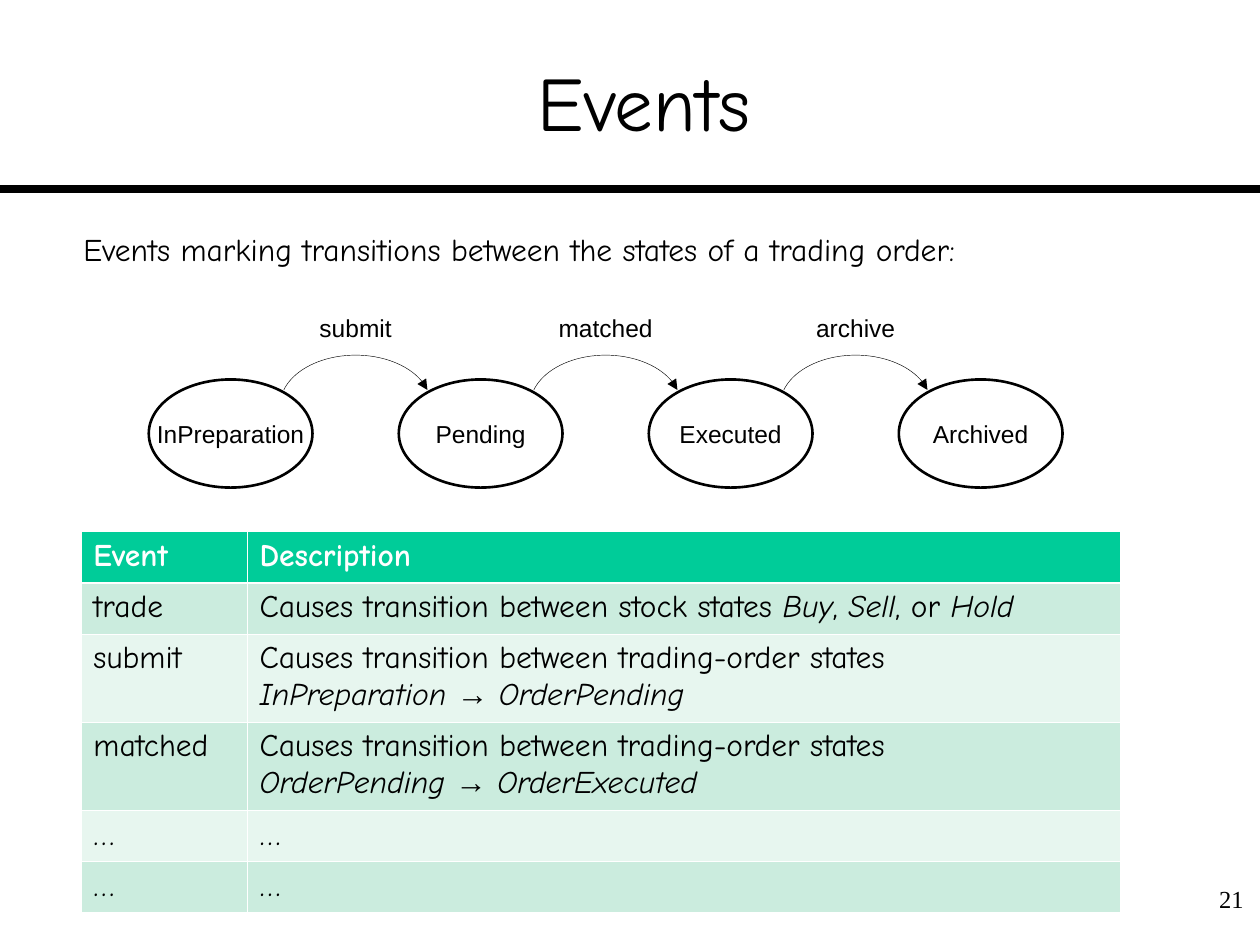
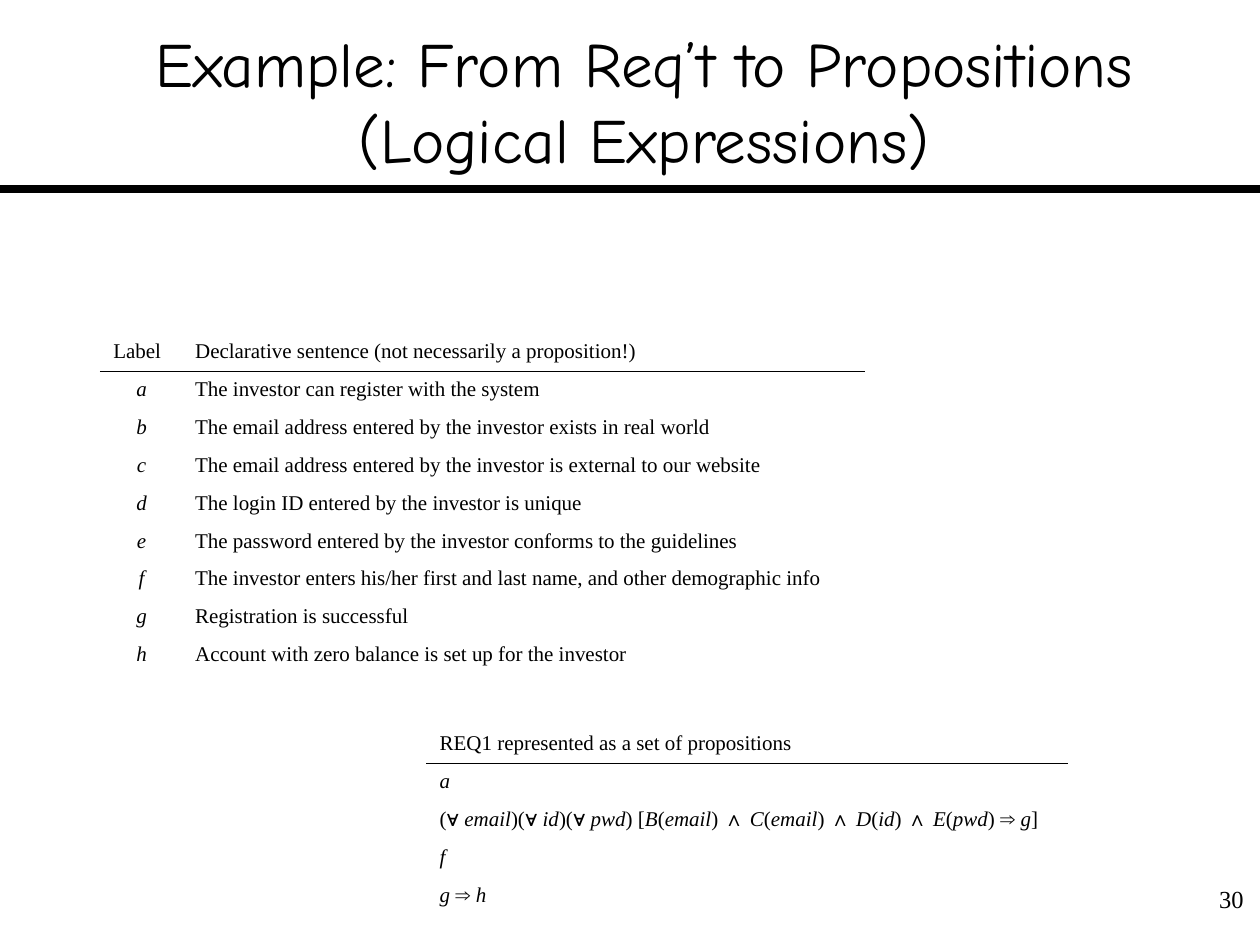
import itertools

import pptx
import pptx.dml.color
import pptx.enum.shapes
import pptx.enum.text
import pptx.oxml
import pptx.oxml.ns
import pptx.util

Cm = pptx.util.Cm
Pt = pptx.util.Pt
RGB = pptx.dml.color.RGBColor
Align = pptx.enum.text.PP_ALIGN
Anchor = pptx.enum.text.MSO_ANCHOR
Shape = pptx.enum.shapes.MSO_SHAPE
qn = pptx.oxml.ns.qn

BLACK = RGB(0x00, 0x00, 0x00)
WHITE = RGB(0xFF, 0xFF, 0xFF)
GREEN = RGB(0x00, 0xCC, 0x99)
MINT = RGB(0xCB, 0xEC, 0xDE)
PALE = RGB(0xE7, 0xF6, 0xEF)

COMIC, ARIAL, TIMES = "Comic Neue", "Arial", "Times New Roman"
SIGNS = "→∀∧⇒"
THIN, THICK = 0.45, 1.47

STATES = ["InPreparation", "Pending", "Executed", "Archived"]
STEPS = ["submit", "matched", "archive"]
EVENTS = [
    ["Event", "Description"],
    ["trade", "Causes transition between stock states *Buy*, *Sell*, or *Hold*"],
    ["submit", "Causes transition between trading-order states\n"
               "*InPreparation *→ *OrderPending*"],
    ["matched", "Causes transition between trading-order states\n"
                "*OrderPending *→ *OrderExecuted*"],
    ["…", "…"],
    ["…", "…"],
]
CLAIMS = [
    ["Label", "Declarative sentence (not necessarily a proposition!)"],
    ["*a*", "The investor can register with the system"],
    ["*b*", "The email address entered by the investor exists in real world"],
    ["*c*", "The email address entered by the investor is external to our website"],
    ["*d*", "The login ID entered by the investor is unique"],
    ["*e*", "The password entered by the investor conforms to the guidelines"],
    ["*f*", "The investor enters his/her first and last name, and other demographic info"],
    ["*g*", "Registration is successful"],
    ["*h*", "Account with zero balance is set up for the investor"],
]
LOGIC = [
    ["REQ1 represented as a set of propositions"],
    ["*a*"],
    ["(∀ *email*)(∀ *id*)(∀ *pwd*) [*B*(*email*) ∧ *C*(*email*) ∧ "
     "*D*(*id*) ∧ *E*(*pwd*) ⇒ *g*]"],
    ["*f*"],
    ["*g *⇒ *h*"],
]


def write(frame, text, face, size, color=BLACK, align=Align.LEFT, bold=False):
    """Fill a frame: a line is a paragraph, *stars* mark italics, SIGNS use Arial."""
    for num, line in enumerate(text.split("\n")):
        para = frame.add_paragraph() if num else frame.paragraphs[0]
        para.alignment = align
        font = para.font
        font.name, font.size, font.bold = face, Pt(size), bold
        font.color.rgb = color
        for turn, part in enumerate(line.split("*")):
            for sign, chars in itertools.groupby(part, lambda char: char in SIGNS):
                run = para.add_run()
                run.text = "".join(chars)
                if turn % 2:
                    run.font.italic = True
                if sign:
                    run.font.name = ARIAL


def inset(frame, side, top):
    frame.margin_left = frame.margin_right = Cm(side)
    frame.margin_top = frame.margin_bottom = Cm(top)


def add_text(slide, box, text, face, size, align=Align.LEFT, pad=(0.25, 0.13)):
    frame = slide.shapes.add_textbox(*map(Cm, box)).text_frame
    inset(frame, *pad)
    write(frame, text, face, size, align=align)


def add_state(slide, left, top, wide, high, name):
    oval = slide.shapes.add_shape(Shape.OVAL, Cm(left), Cm(top), Cm(wide), Cm(high))
    oval.shadow.inherit = False
    oval.fill.solid()
    oval.fill.fore_color.rgb = WHITE
    oval.line.color.rgb = BLACK
    oval.line.width = Pt(1.5)
    frame = oval.text_frame
    frame.word_wrap = False
    frame.vertical_anchor = Anchor.MIDDLE
    write(frame, name, ARIAL, 14, align=Align.CENTER)


def add_step(slide, mid, top, name):
    """Draw a labelled arc with an arrowhead, centred on mid."""
    wide, high, label = 3.04, 2.02, 2.4
    arc = slide.shapes.add_shape(
        Shape.ARC, Cm(mid - wide / 2), Cm(top), Cm(wide), Cm(high))
    arc.shadow.inherit = False
    arc.adjustments[0], arc.adjustments[1] = (deg * 0.6 for deg in (192, 348))
    arc.fill.background()
    arc.line.color.rgb = BLACK
    arc.line.width = Pt(0.25)
    tip = pptx.oxml.parse_xml(
        f'<a:tailEnd {pptx.oxml.ns.nsdecls("a")} type="triangle"/>')
    arc.element.spPr.find(qn("a:ln")).append(tip)
    add_text(slide, (mid - label / 2, top - 0.84, label, 0.58), name,
             ARIAL, 14, Align.CENTER, (0.03, 0))


def add_flow(slide):
    left, top, wide, high, pitch = 3, 7.65, 3.3, 2.18, 5.04
    mid = left + (wide + pitch) / 2
    for num, name in enumerate(STEPS):
        add_step(slide, mid + num * pitch, 7.16, name)
    for num, name in enumerate(STATES):
        add_state(slide, left + num * pitch, top, wide, high, name)


def edge(cell, **sides):
    """Draw cell borders; each side (L, R, T, B) gets a colour and a width."""
    for side, (color, width) in sides.items():
        cell._tc.get_or_add_tcPr().append(pptx.oxml.parse_xml(
            f'<a:ln{side} {pptx.oxml.ns.nsdecls("a")} w="{Pt(width)}"><a:solidFill>'
            f'<a:srgbClr val="{color}"/></a:solidFill></a:ln{side}>'))


def add_grid(slide, left, top, cols, highs, data):
    """Add a bare table and return it."""
    grid = slide.shapes.add_table(
        len(data), len(cols), Cm(left), Cm(top), Cm(sum(cols)), Cm(sum(highs))).table
    grid.first_row = grid.horz_banding = False
    for col, wide in zip(grid.columns, cols):
        col.width = Cm(wide)
    for row, high in zip(grid.rows, highs):
        row.height = Cm(high)
    return grid


def add_bands(slide, left, top, cols, highs, data):
    grid = add_grid(slide, left, top, cols, highs, data)
    thin, thick = (WHITE, THIN), (WHITE, THICK)
    for row, texts in enumerate(data):
        fill = (MINT if row % 2 else PALE) if row else GREEN
        for col, text in enumerate(texts):
            cell = grid.cell(row, col)
            edge(cell, L=thin, R=thin, T=thick if row == 1 else thin,
                 B=thin if row else thick)
            cell.fill.solid()
            cell.fill.fore_color.rgb = fill
            write(cell.text_frame, text, COMIC, 18, BLACK if row else WHITE,
                  bold=not row)


def add_list(slide, left, top, cols, data):
    """Add a plain table with a line under its header; labels are centred."""
    grid = add_grid(slide, left, top, cols, [0.76] * len(data), data)
    for row, texts in enumerate(data):
        for col, text in enumerate(texts):
            cell = grid.cell(row, col)
            if row < 2:
                edge(cell, **{"T" if row else "B": (BLACK, THIN)})
            cell.fill.background()
            label = row and not col and len(texts) > 1
            write(cell.text_frame, text, TIMES, 12,
                  align=Align.CENTER if label else Align.LEFT)


def set_base(deck):
    """Place the title and the rule on the layout and return it."""
    base = deck.slide_layouts[5]
    title = base.placeholders[0]
    title.left, title.top, title.width, title.height = map(Cm, (1.07, 0.43, 23.83, 3.18))
    return base


def add_rule(slide):
    """Draw the rule and hand it to the layout, so all slides show it."""
    rule = slide.shapes.add_connector(
        pptx.enum.shapes.MSO_CONNECTOR.STRAIGHT, 0, Cm(3.81), Cm(25.4), Cm(3.81))
    rule.line.color.rgb = BLACK
    rule.line.width = Pt(4.5)
    rule.element.spPr.append(pptx.oxml.parse_xml(
        f'<a:effectLst {pptx.oxml.ns.nsdecls("a")}/>'))
    slide.slide_layout.shapes.element.append(rule.element)


def add_slide(deck, base, title, size, page):
    slide = deck.slides.add_slide(base)
    frame = slide.shapes.title.text_frame
    frame.auto_size = pptx.enum.text.MSO_AUTO_SIZE.NONE
    frame.word_wrap = True
    frame.vertical_anchor = Anchor.MIDDLE
    inset(frame, 0, 0.13)
    write(frame, title, COMIC, size, align=Align.CENTER)
    add_text(slide, (23.75, 17.7, 1.57, 1.27), page, TIMES, 14, Align.RIGHT)
    return slide


def main():
    deck = pptx.Presentation()
    deck.slide_width, deck.slide_height = Cm(25.4), Cm(19.05)
    base = set_base(deck)

    events = add_slide(deck, base, "Events", 44, "21")
    add_rule(events)
    add_text(events, (1.55, 4.6, 17.93, 0.81),
             "Events marking transitions between the states of a trading order:",
             COMIC, 18, pad=(0.13, 0.03))
    add_flow(events)
    add_bands(events, 1.63, 10.72, [3.35, 17.6],
              [1.03, 1.03, 1.78, 1.78, 1.03, 1.03], EVENTS)

    logic = add_slide(
        deck, base, "Example: From Req’t to Propositions (Logical Expressions)", 36, "30")
    add_list(logic, 2.03, 6.73, [1.65, 13.74], CLAIMS)
    add_list(logic, 8.61, 14.63, [12.9], LOGIC)

    deck.save("out.pptx")


if __name__ == "__main__":
    main()
